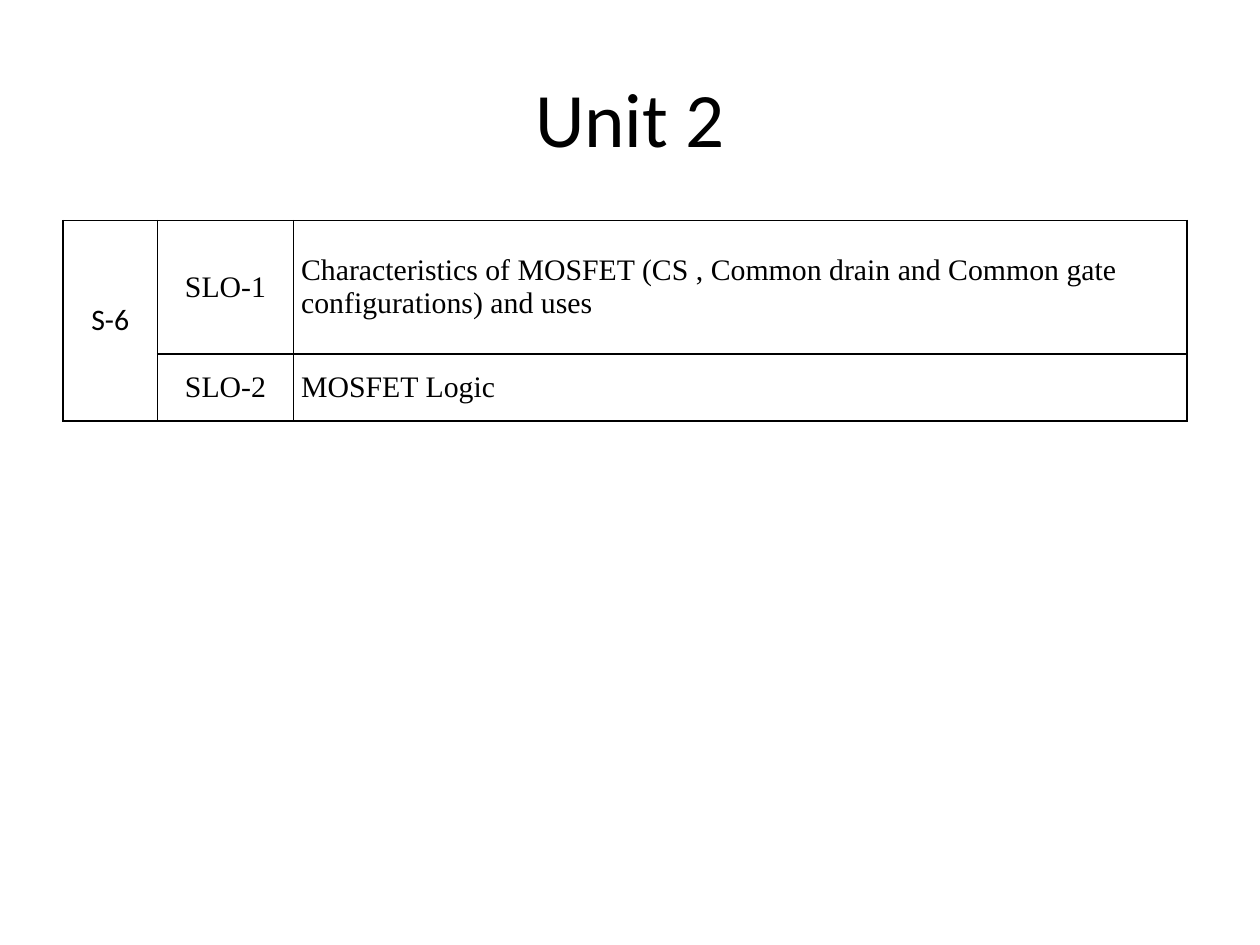
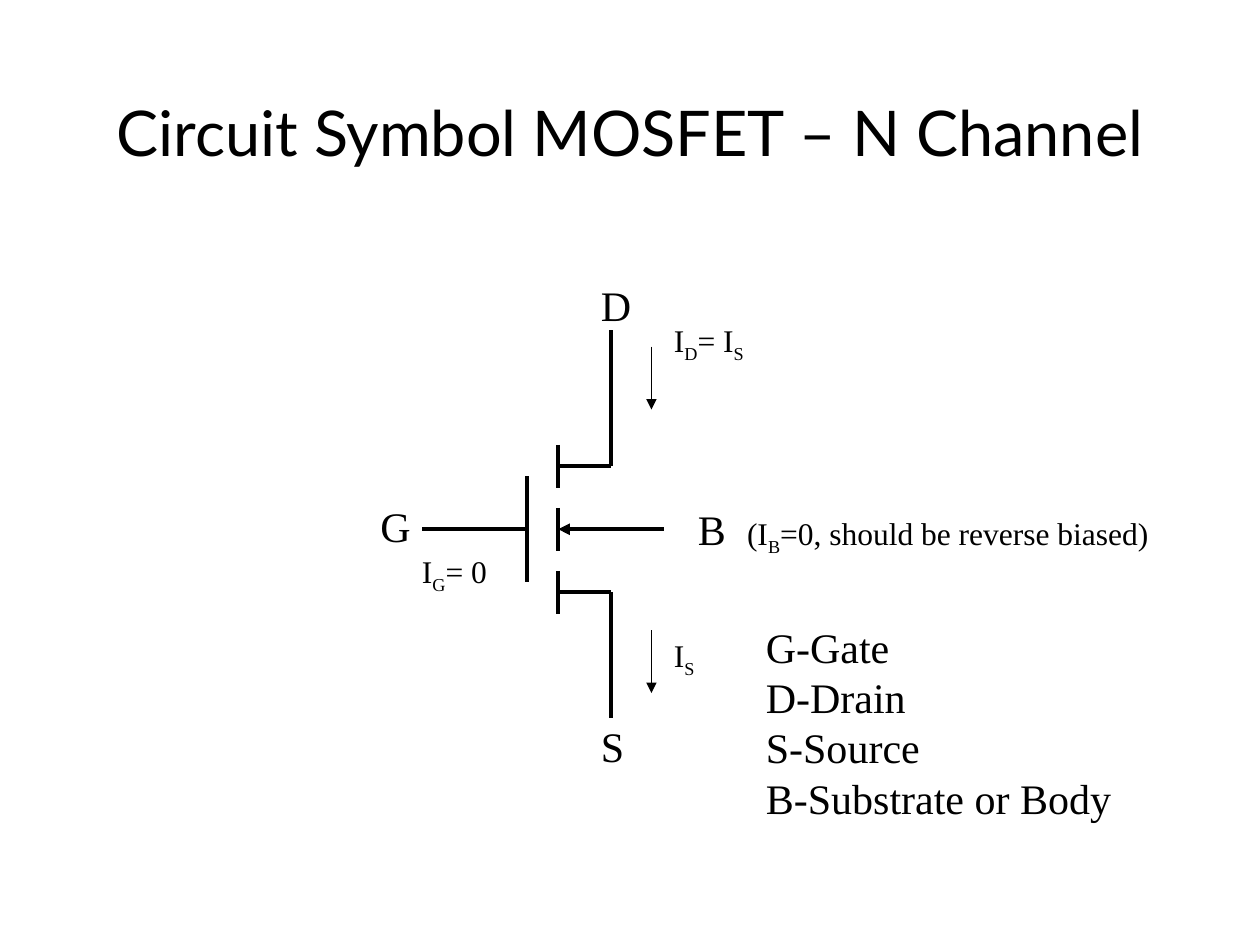
import pptx
import pptx.util
import pptx.dml.color
import pptx.enum.shapes
import pptx.enum.text
import pptx.oxml
import pptx.oxml.ns
from pptx.util import Inches

COLORS = {"ink": "000000", "paper": "FFFFFF"}
SERIF, SANS, TITLE_ALT = "Times New Roman", "Calibri", "Lato"
ALIGN = pptx.enum.text.PP_ALIGN
MIDDLE = pptx.enum.text.MSO_ANCHOR.MIDDLE

# Slide 1: syllabus table
UNIT_TITLE = ("Unit 2", SANS, 44, (0.5, 0.3, 9, 1.25))
SESSION = "S-6"
OUTCOMES = [
    ("SLO-1", "Characteristics of MOSFET (CS , Common drain and Common gate configurations) and uses"),
    ("SLO-2", "MOSFET Logic"),
]
TABLE_LEFT, TABLE_TOP = 0.5, 1.75
COLUMN_WIDTHS = (0.75, 1.08, 7.09)
ROW_HEIGHTS = (1.06, 0.53)
TABLE_SIZE = 17

# Slide 2: circuit symbol
SYMBOL_TITLE = ("Circuit Symbol MOSFET – N Channel", TITLE_ALT, 36, (0.75, 0.42, 8.5, 1.25))
CHANNEL_X, GATE_X, LEAD_X = 4.43, 4.18, 4.85
DRAIN_Y, BODY_Y, SOURCE_Y = 3.7, 4.2, 4.7
SEGMENT_HALF, GATE_HALF = 0.17, 0.42
CURRENT_X, CURRENT_LENGTH = 5.17, 0.5
CURRENT_TOPS = (2.75, 5)
WIRE, THIN = 2.25, 0.75
NOTE_TAB = 0.39

# Box, then paragraphs of (text, size, is subscript) runs
LABELS = [
    ((2.92, 3.92, 0.44, 0.5), [[("G", 24, False)]]),
    ((4.67, 2.17, 0.44, 0.5), [[("D", 24, False)]]),
    ((4.67, 5.67, 0.39, 0.5), [[("S", 24, False)]]),
    ((5.44, 3.95, 3.79, 0.5), [[("B", 24, False), ("\t(I", 18, False), ("B", 18, True),
                                ("=0, should be reverse biased)", 18, False)]]),
    ((5.25, 2.5, 0.78, 0.4), [[("I", 18, False), ("D", 18, True),
                               ("= I", 18, False), ("S", 18, True)]]),
    ((5.25, 5, 0.38, 0.4), [[("I", 18, False), ("S", 18, True)]]),
    ((3.25, 4.33, 0.73, 0.4), [[("I", 18, False), ("G", 18, True), ("= 0", 18, False)]]),
    ((5.98, 4.88, 2.94, 1.7), [[(name, 24, False)] for name in
                               ("G-Gate", "D-Drain", "S-Source", "B-Substrate or Body")]),
]


def color(name):
    return pptx.dml.color.RGBColor.from_string(COLORS[name])


def add_run(paragraph, text, font, size, subscript=False):
    run = paragraph.add_run()
    run.text = text
    run.font.name = font
    run.font.size = pptx.util.Pt(size)
    run.font.color.rgb = color("ink")
    if subscript:
        run._r.get_or_add_rPr().set("baseline", "-25000")


def add_slide(presentation, title):
    text, font, size, box = title
    slide = presentation.slides.add_slide(presentation.slide_layouts[6])
    slide.background.fill.solid()
    slide.background.fill.fore_color.rgb = color("paper")
    frame = slide.shapes.add_textbox(*map(Inches, box)).text_frame
    frame.word_wrap = True
    frame.vertical_anchor = MIDDLE
    frame.paragraphs[0].alignment = ALIGN.CENTER
    add_run(frame.paragraphs[0], text, font, size)
    return slide


def style_cell(cell):
    cell.fill.solid()
    cell.fill.fore_color.rgb = color("paper")
    cell.margin_left = cell.margin_right = Inches(0.06)
    cell.margin_top = cell.margin_bottom = 0
    cell.vertical_anchor = MIDDLE
    properties = cell._tc.get_or_add_tcPr()
    for index, side in enumerate("LRTB"):
        properties.insert(index, pptx.oxml.parse_xml(
            f'<a:ln{side} {pptx.oxml.ns.nsdecls("a")} w="12700"><a:solidFill>'
            f'<a:srgbClr val="{COLORS["ink"]}"/></a:solidFill></a:ln{side}>'))


def add_outcome_table(slide):
    table = slide.shapes.add_table(
        len(ROW_HEIGHTS), len(COLUMN_WIDTHS), Inches(TABLE_LEFT), Inches(TABLE_TOP),
        Inches(sum(COLUMN_WIDTHS)), Inches(sum(ROW_HEIGHTS))).table
    table.first_row = table.horz_banding = False
    for column, width in zip(table.columns, COLUMN_WIDTHS):
        column.width = Inches(width)
    for row, height in zip(table.rows, ROW_HEIGHTS):
        row.height = Inches(height)
    for cell in table.iter_cells():
        style_cell(cell)
    table.cell(0, 0).merge(table.cell(len(OUTCOMES) - 1, 0))
    entries = [(0, 0, SESSION, SANS, ALIGN.CENTER)]
    for row, (code, topic) in enumerate(OUTCOMES):
        entries += [(row, 1, code, SERIF, ALIGN.CENTER), (row, 2, topic, SERIF, ALIGN.LEFT)]
    for row, column, text, font, alignment in entries:
        paragraph = table.cell(row, column).text_frame.paragraphs[0]
        paragraph.alignment = alignment
        add_run(paragraph, text, font, TABLE_SIZE)


def add_line(slide, start, end, width, arrow=None):
    """Draw a line; arrow is "headEnd" (at start) or "tailEnd" (at end)."""
    connector = slide.shapes.add_connector(
        pptx.enum.shapes.MSO_CONNECTOR.STRAIGHT, *map(Inches, (*start, *end)))
    connector.line.color.rgb = color("ink")
    connector.line.width = pptx.util.Pt(width)
    namespace = pptx.oxml.ns.nsdecls("a")
    if arrow:
        connector.line._get_or_add_ln().append(
            pptx.oxml.parse_xml(f'<a:{arrow} {namespace} type="triangle"/>'))
    connector._element.spPr.append(pptx.oxml.parse_xml(f"<a:effectLst {namespace}/>"))


def add_transistor(slide):
    for y in (DRAIN_Y, BODY_Y, SOURCE_Y):
        add_line(slide, (CHANNEL_X, y - SEGMENT_HALF), (CHANNEL_X, y + SEGMENT_HALF), WIRE)
    add_line(slide, (GATE_X, BODY_Y - GATE_HALF), (GATE_X, BODY_Y + GATE_HALF), WIRE)
    add_line(slide, (GATE_X, BODY_Y), (3.35, BODY_Y), WIRE)
    add_line(slide, (CHANNEL_X, BODY_Y), (5.27, BODY_Y), WIRE, "headEnd")
    for y, lead_end in ((DRAIN_Y, 2.62), (SOURCE_Y, 5.7)):
        add_line(slide, (CHANNEL_X, y), (LEAD_X, y), WIRE)
        add_line(slide, (LEAD_X, y), (LEAD_X, lead_end), WIRE)
    for top in CURRENT_TOPS:
        add_line(slide, (CURRENT_X, top), (CURRENT_X, top + CURRENT_LENGTH), THIN, "tailEnd")


def add_label(slide, box, paragraphs):
    frame = slide.shapes.add_textbox(*map(Inches, box)).text_frame
    frame.word_wrap = False
    frame.auto_size = pptx.enum.text.MSO_AUTO_SIZE.SHAPE_TO_FIT_TEXT
    for index, runs in enumerate(paragraphs):
        paragraph = frame.add_paragraph() if index else frame.paragraphs[0]
        if any("\t" in text for text, _, _ in runs):
            paragraph._p.get_or_add_pPr().append(pptx.oxml.parse_xml(
                f'<a:tabLst {pptx.oxml.ns.nsdecls("a")}>'
                f'<a:tab pos="{Inches(NOTE_TAB)}" algn="l"/></a:tabLst>'))
        for text, size, subscript in runs:
            add_run(paragraph, text, SERIF, size, subscript)


def main():
    presentation = pptx.Presentation()
    presentation.slide_width, presentation.slide_height = Inches(10), Inches(7.5)
    add_outcome_table(add_slide(presentation, UNIT_TITLE))
    symbol_slide = add_slide(presentation, SYMBOL_TITLE)
    add_transistor(symbol_slide)
    for box, paragraphs in LABELS:
        add_label(symbol_slide, box, paragraphs)
    presentation.save("out.pptx")


if __name__ == "__main__":
    main()
